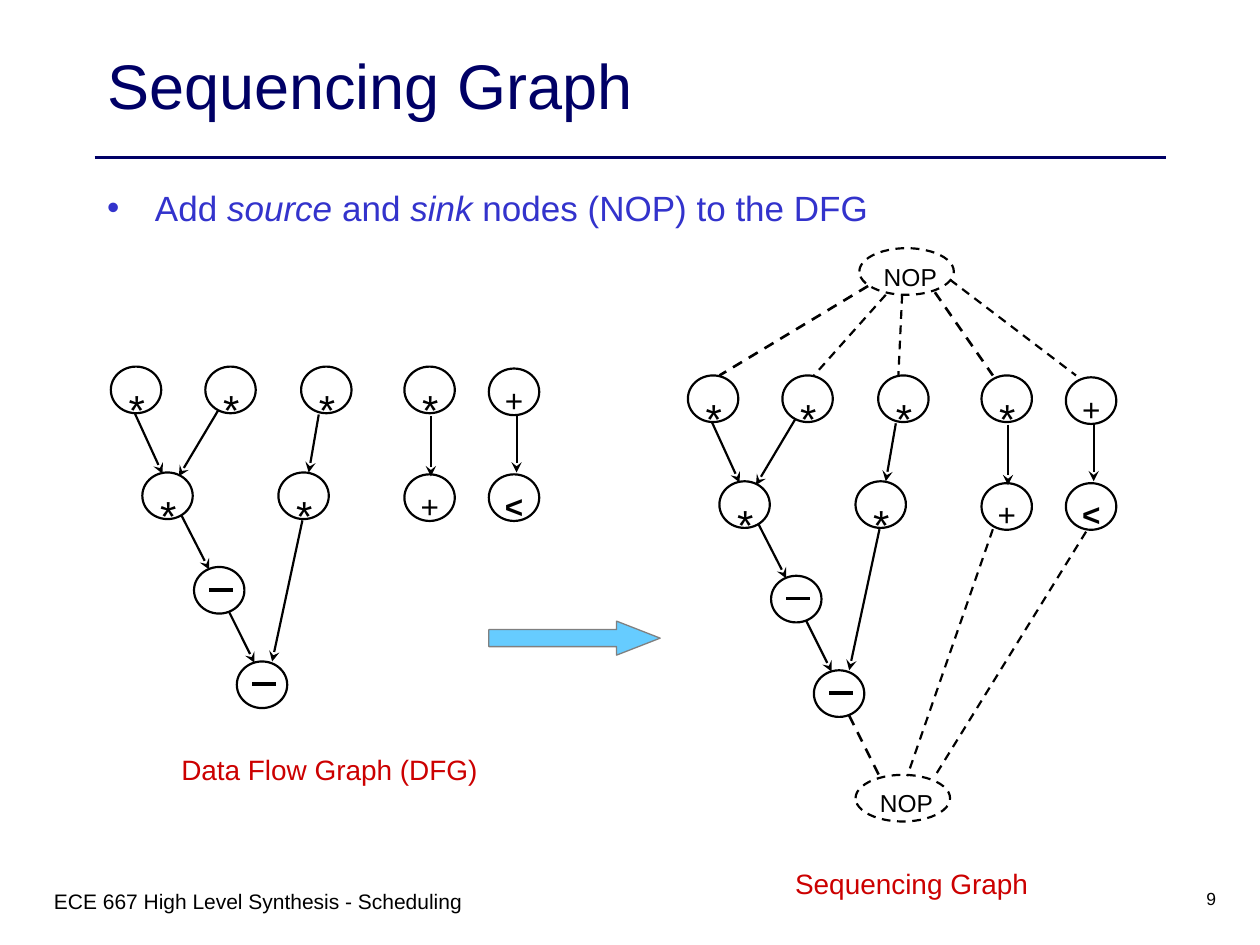
"""Build the slide that turns a data flow graph into a sequencing graph."""
import lxml.etree
import pptx
import pptx.dml.color
import pptx.enum.dml
import pptx.enum.shapes
import pptx.enum.text
import pptx.oxml.ns
import pptx.util

COLORS = {"navy": "000066", "blue": "3333CC", "red": "CC0000", "black": "000000",
          "sky": "66CCFF", "gray": "808080"}
COLUMNS, ROWS = 100, 75
ALIGN = pptx.enum.text.PP_ALIGN
SHAPE = pptx.enum.shapes.MSO_SHAPE
FIT = pptx.enum.text.MSO_AUTO_SIZE

NODE_COLUMNS = (8.8, 16.3, 23.9, 32.1, 38.8)
NODE_ROWS = (29.1, 37.5, 45, 52.5)
OPERATIONS = [
    *(("*", column, NODE_ROWS[0]) for column in NODE_COLUMNS[:4]),
    ("+", NODE_COLUMNS[4], NODE_ROWS[0]),
    ("*", 11.3, NODE_ROWS[1]), ("*", 22.1, NODE_ROWS[1]),
    ("+", NODE_COLUMNS[3], NODE_ROWS[1]), ("<", NODE_COLUMNS[4], NODE_ROWS[1]),
    ("-", 15.4, NODE_ROWS[2]), ("-", 18.8, NODE_ROWS[3]),
]
DEPENDENCIES = [
    (10.7, 32.8, 12.9, 37.6), (17.3, 32.6, 14.2, 37.8), (25.3, 32.9, 24.5, 37.5),
    (34.2, 33, 34.2, 37.8), (41, 33, 41, 37.5), (14.4, 40.9, 16.6, 45.2),
    (18.2, 48.6, 20.2, 52.6), (24, 41.3, 21.6, 52.5),
]
NOP_NODES = [(68.2, 19.7), (67.9, 61.5)]
NOP_LINKS = [
    (68.9, 22.7, 57.1, 29.8, 1.5), (70.3, 23.4, 64.6, 29.8, 1.25),
    (71.6, 23.4, 71.3, 29.8, 1.25), (74.2, 23.2, 78.8, 29.8, 1.5),
    (75.4, 22.2, 85.4, 29.8, 1.25), (67.4, 56.8, 69.8, 61.6, 1.5),
    (78.8, 42, 72, 61.6, 1.25), (86.2, 42.2, 74.2, 61.6, 1.25),
]


class GraphSlide:
    """Holds the style and the current slide, placed on a 100 by 75 grid."""

    def __init__(self, deck):
        self.width, self.height = deck.slide_width, deck.slide_height
        self.slide = deck.slides.add_slide(deck.slide_layouts[1])
        self.layer = self.slide.shapes
        self.font = "Arial"

    def across(self, columns):
        return round(self.width * columns / COLUMNS)

    def down(self, rows):
        return round(self.height * rows / ROWS)

    def area(self, left, top, width, height):
        return self.across(left), self.down(top), self.across(width), self.down(height)

    def color(self, name):
        return pptx.dml.color.RGBColor.from_string(COLORS[name])

    def apply(self, target, values):
        for name, value in values.items():
            setattr(target, name, value)

    def add_words(self, paragraph, runs, size, color, bold=False):
        for words, italic in runs:
            run = paragraph.add_run()
            run.text = words
            self.apply(run.font, {"name": self.font, "size": pptx.util.Pt(size),
                                  "bold": bold, "italic": italic})
            run.font.color.rgb = self.color(color)

    def place(self, holder, *area):
        names = ("left", "top", "width", "height")
        self.apply(holder, dict(zip(names, self.area(*area))))

    def title(self, words, *area):
        heading = self.slide.shapes.title
        self.place(heading, *area)
        self.apply(heading.text_frame, {
            "auto_size": FIT.NONE, "vertical_anchor": pptx.enum.text.MSO_ANCHOR.MIDDLE})
        paragraph = heading.text_frame.paragraphs[0]
        paragraph.alignment = ALIGN.LEFT
        self.add_words(paragraph, [(words, False)], 36, "navy")

    def bullet(self, runs, *area):
        body = self.slide.placeholders[1]
        self.place(body, *area)
        self.apply(body.text_frame, {"auto_size": FIT.NONE,
                                     "margin_top": pptx.util.Pt(8.6)})
        paragraph = body.text_frame.paragraphs[0]
        properties = paragraph._p.get_or_add_pPr()
        indent = self.across(3.8)
        properties.set("marL", str(indent))
        properties.set("indent", str(-indent))
        qn = pptx.oxml.ns.qn
        tint = lxml.etree.SubElement(properties, qn("a:buClr"))
        lxml.etree.SubElement(tint, qn("a:srgbClr"), val=COLORS["blue"])
        lxml.etree.SubElement(properties, qn("a:buChar"), char="•")
        paragraph.space_before = pptx.util.Pt(0)
        self.add_words(paragraph, runs, 20, "blue")

    def label(self, words, *area, size, color="black", align=ALIGN.CENTER,
              lead=0, wrap=False, bold=False, fit=FIT.SHAPE_TO_FIT_TEXT):
        frame = self.layer.add_textbox(*self.area(*area)).text_frame
        self.apply(frame, {"word_wrap": wrap, "auto_size": fit,
                           "margin_top": pptx.util.Pt(3.6 + lead)})
        frame.paragraphs[0].alignment = align
        self.add_words(frame.paragraphs[0], [(words, False)], size, color, bold)

    def outline(self, line, weight, color="black", dashed=False):
        line.color.rgb = self.color(color)
        line.width = pptx.util.Pt(weight)
        if dashed:
            line.dash_style = pptx.enum.dml.MSO_LINE.DASH

    def oval(self, *area, dashed=False):
        ring = self.layer.add_shape(SHAPE.OVAL, *self.area(*area))
        ring.shadow.inherit = False
        ring.fill.background()
        self.outline(ring.line, 1.25, dashed=dashed)

    def line(self, x1, y1, x2, y2, weight=1.25, color="black", dashed=False, head=False):
        edge = self.layer.add_connector(
            pptx.enum.shapes.MSO_CONNECTOR.STRAIGHT,
            self.across(x1), self.down(y1), self.across(x2), self.down(y2))
        self.outline(edge.line, weight, color, dashed)
        qn = pptx.oxml.ns.qn
        properties = edge._element.spPr
        if head:
            lxml.etree.SubElement(properties.find(qn("a:ln")), qn("a:tailEnd"), type="stealth")
        lxml.etree.SubElement(properties, qn("a:effectLst"))

    def block_arrow(self, *area):
        arrow = self.layer.add_shape(SHAPE.RIGHT_ARROW, *self.area(*area))
        arrow.shadow.inherit = False
        arrow.adjustments[1] = 1.28
        arrow.fill.solid()
        arrow.fill.fore_color.rgb = self.color("sky")
        self.outline(arrow.line, 0.75, "gray")

    def operation(self, symbol, left, top):
        drop = 0.15 if symbol in "+<" else 0
        self.oval(left, top + drop, 4, 3.7)
        if symbol == "-":
            self.line(left + 1.2, top + 1.8, left + 3.1, top + 1.8, 2.25)
        elif symbol == "*":
            self.label(symbol, left + 0.4, top, 3.3, 5, size=24, lead=6, wrap=True)
        else:
            self.label(symbol, left + 0.3, top, 3.4, 4, size=18, lead=4.5,
                       bold=symbol == "<")

    def nop(self, left, top):
        self.oval(left, top, 7.5, 3.7, dashed=True)
        self.label("NOP", left + 0.95, top + 0.1, 6.2, 3.4, size=14, lead=3.5)

    def graph(self, right=0, lower=0, nops=(), links=()):
        self.layer = self.slide.shapes.add_group_shape().shapes
        for symbol, left, top in OPERATIONS:
            self.operation(symbol, left + right, top + lower)
        for x1, y1, x2, y2 in DEPENDENCIES:
            self.line(x1 + right, y1 + lower, x2 + right, y2 + lower, head=True)
        for corner in nops:
            self.nop(*corner)
        for link in links:
            self.line(*link, dashed=True)
        self.layer = self.slide.shapes


def main():
    deck = pptx.Presentation()
    deck.slide_width, deck.slide_height = pptx.util.Inches(10), pptx.util.Inches(7.5)
    page = GraphSlide(deck)
    page.line(7.5, 12.5, 92.5, 12.5, 2.25, "navy")
    page.title("Sequencing Graph", 7.5, 1.7, 85, 10)
    page.bullet([("Add ", False), ("source", True), (" and ", False), ("sink ", True),
                 ("nodes (NOP) to the DFG", False)], 7.5, 13.6, 64.5, 6.1)
    page.graph()
    page.graph(45.8, 0.7, NOP_NODES, NOP_LINKS)
    page.label("Data Flow Graph (DFG)", 13.4, 58.7, 25.5, 3.7, size=16, color="red", lead=4)
    page.label("Sequencing Graph", 62.1, 67.7, 20.5, 3.7, size=16, color="red", lead=4)
    page.block_arrow(38.8, 49.3, 13.6, 2.7)
    footer = {"wrap": True, "fit": FIT.NONE}
    page.label("ECE 667 High Level Synthesis - Scheduling", 3.3, 70, 45, 5,
               size=12, align=ALIGN.LEFT, **footer)
    page.label("9", 76.7, 70, 20.8, 5, size=10, align=ALIGN.RIGHT, **footer)
    deck.save("out.pptx")


if __name__ == "__main__":
    main()
